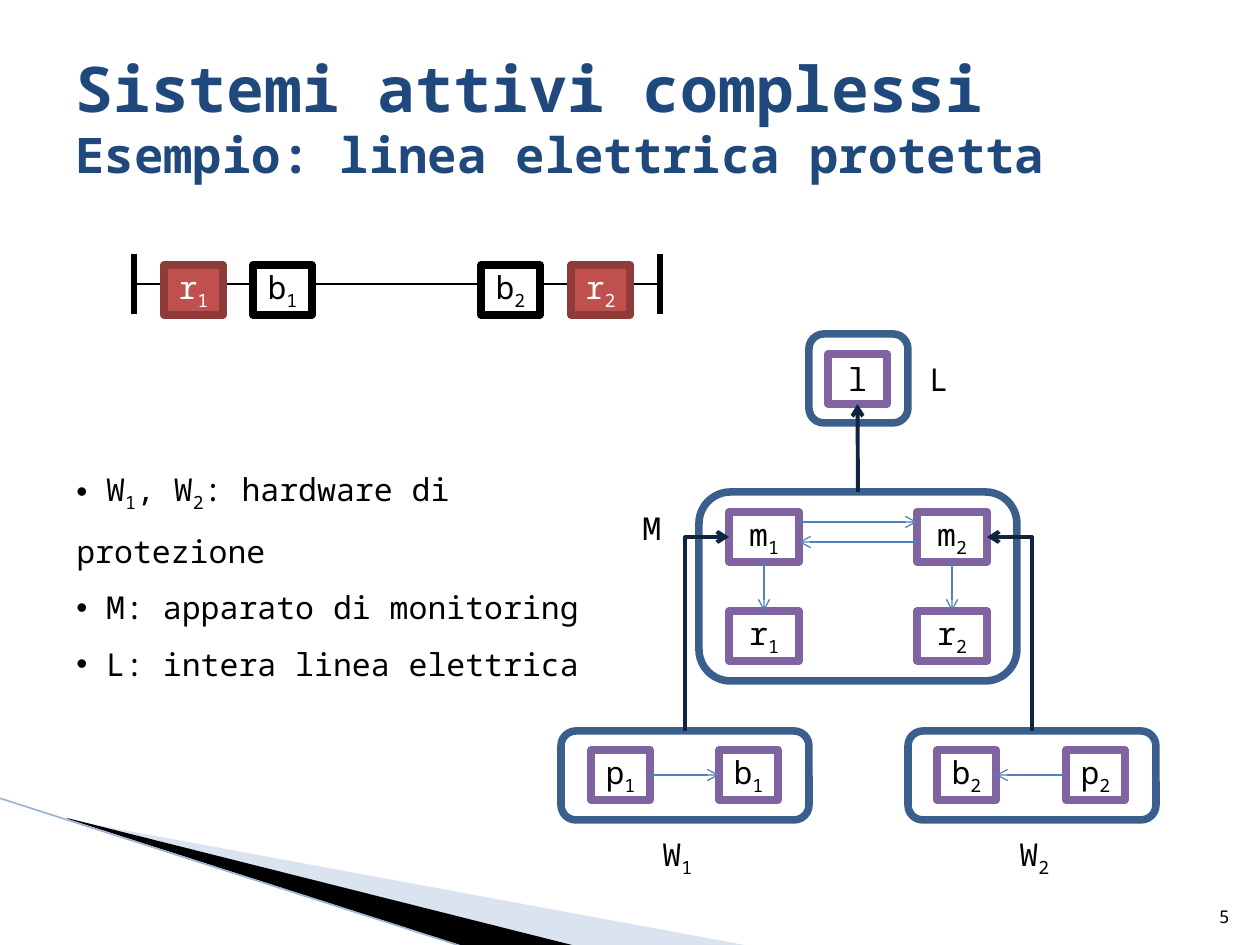
import pptx
import pptx.util
import pptx.dml.color
import pptx.enum.shapes
import pptx.enum.text
import pptx.oxml
import pptx.oxml.ns
from lxml import etree

RGB = pptx.dml.color.RGBColor
SHAPE = pptx.enum.shapes.MSO_SHAPE
CONNECTOR = pptx.enum.shapes.MSO_CONNECTOR
ALIGN = pptx.enum.text.PP_ALIGN
ANCHOR = pptx.enum.text.MSO_ANCHOR
AUTO = pptx.enum.text.MSO_AUTO_SIZE
Pt = pptx.util.Pt
qn = pptx.oxml.ns.qn

PX = 914400 / 126
FONT = "Noto Sans Mono"
TOP, LEFT, BOTTOM, RIGHT = range(4)

BLACK, WHITE = RGB(0, 0, 0), RGB(255, 255, 255)
NAVY = RGB(0x1F, 0x49, 0x7D)
RED, DARK_RED = RGB(0xC0, 0x50, 0x4D), RGB(0x8E, 0x3B, 0x39)
PURPLE = RGB(0x80, 0x64, 0xA2)
GROUP_BLUE, ARROW_BLUE = RGB(0x3A, 0x5F, 0x8C), RGB(0x4F, 0x81, 0xBD)
INK = RGB(0x0F, 0x24, 0x3E)
PALE, EDGE = RGB(0xA7, 0xB9, 0xDB), RGB(0x9E, 0xB3, 0xD6)

# An underscore puts the next character in subscript.
TITLE = [("Sistemi attivi complessi", 36), ("Esempio: linea elettrica protetta", 28)]
BULLETS = [" W_1, W_2: hardware di protezione",
           " M: apparato di monitoring",
           " L: intera linea elettrica"]
WEDGES = [([(69, 820), (750, 946), (575, 946), (69, 819)], PALE, 40),
          ([(67, 818), (576, 946), (469, 948), (68, 819)], BLACK, 100)]
CIRCUIT_TOP = 265
CIRCUIT = [("r_1", 164, RED, DARK_RED, WHITE), ("b_1", 253, WHITE, BLACK, BLACK),
           ("b_2", 481, WHITE, BLACK, BLACK), ("r_2", 571, RED, DARK_RED, WHITE)]
WIRES = [((134, 284), (660, 284), 0.75),
         ((134, 254), (134, 314), 3), ((660, 254), (660, 314), 3)]
BOX_HEIGHT, NARROW, WIDE = 50, 59, 70
COMPONENTS = {  # name: left, top, width
    "l": (828, 354, NARROW),
    "m_1": (729, 512, WIDE), "m_2": (917, 512, WIDE),
    "r_1": (729, 611, WIDE), "r_2": (917, 611, WIDE),
    "p_1": (591, 750, NARROW), "b_1": (719, 750, NARROW),
    "b_2": (937, 750, NARROW), "p_2": (1066, 750, NARROW),
}
JOINS = [("p_1", RIGHT, "b_1", LEFT), ("p_2", LEFT, "b_2", RIGHT),
         ("m_1", BOTTOM, "r_1", TOP), ("m_2", BOTTOM, "r_2", TOP)]
EXCHANGES = [((799, 522), (917, 522)), ((917, 542), (799, 542))]
GROUPS = {"M": (699, 492, 318, 189), "L": (809, 334, 99, 89),
          "W_1": (561, 731, 248, 89), "W_2": (908, 731, 248, 89)}
LABELS = [("W_1", 650, 829, 79), ("W_2", 1007, 829, 79),
          ("M", 630, 503, 59), ("L", 917, 354, 79)]


def px(*values):
    return [round(value * PX) for value in values]


def add_span(para, text, size, color, bold=False):
    span = para.add_run()
    span.text = text
    span.font.name, span.font.size, span.font.bold = FONT, Pt(size), bold
    span.font.color.rgb = color
    return span


def write(para, text, color=BLACK, size=18):
    """Add text, with each character after an underscore as subscript."""
    first, *rest = text.split("_")
    add_span(para, first, size, color)
    for piece in rest:
        subscript = add_span(para, piece[0], size, color)
        subscript.font._element.set("baseline", "-25000")
        if piece[1:]:
            add_span(para, piece[1:], size, color)


def add_box(page, text, place, fill, edge, color):
    box = page.shapes.add_shape(SHAPE.RECTANGLE, *px(*place))
    box.shadow.inherit = False
    box.fill.solid()
    box.fill.fore_color.rgb = fill
    box.line.color.rgb, box.line.width = edge, Pt(4.33)
    frame = box.text_frame
    frame.margin_left = frame.margin_right = frame.margin_top = frame.margin_bottom = 0
    frame.word_wrap, frame.vertical_anchor = False, ANCHOR.MIDDLE
    frame.paragraphs[0].alignment = ALIGN.CENTER
    write(frame.paragraphs[0], text, color)
    return box


def add_line(page, start, end, color, width, arrow=False, kind=CONNECTOR.STRAIGHT):
    line = page.shapes.add_connector(kind, *px(*start, *end))
    line.line.color.rgb, line.line.width = color, Pt(width)
    if arrow:
        etree.SubElement(line.line._get_or_add_ln(), qn("a:tailEnd"), type="arrow")
    etree.SubElement(line._element.spPr, qn("a:effectLst"))
    return line


def join(page, source, source_side, target, target_side, color, width):
    line = add_line(page, (0, 0), (1, 1), color, width, arrow=True)
    line.begin_connect(source, source_side)
    line.end_connect(target, target_side)


def add_elbow(page, start, end):
    """Draw an arrow that goes up from start, then sideways to end."""
    across, up = abs(end[0] - start[0]), start[1] - end[1]
    middle = (start[0] + end[0]) / 2, (start[1] + end[1]) / 2
    line = add_line(page, start, end, INK, 2.25, True, CONNECTOR.ELBOW)
    # The preset is turned a quarter, so its width runs vertically.
    line.left, line.top, line.width, line.height = px(
        middle[0] - up / 2, middle[1] - across / 2, up, across)
    rightward = end[0] > start[0]
    frame = line._element.spPr.find(qn("a:xfrm"))
    frame.set("rot", "5400000" if rightward else "16200000")
    frame.set("flipH", "1" if rightward else "0")
    frame.set("flipV", "1")
    line._element.spPr.find(qn("a:prstGeom")).set("prst", "bentConnector2")


def add_text(page, place, auto_size=AUTO.SHAPE_TO_FIT_TEXT):
    frame = page.shapes.add_textbox(*px(*place)).text_frame
    frame.word_wrap, frame.auto_size = True, auto_size
    return frame


def add_backdrop(page):
    for points, color, opacity in WEDGES:
        builder = page.shapes.build_freeform(*points[0], scale=PX)
        builder.add_line_segments(points[1:], close=True)
        wedge = builder.convert_to_shape()
        wedge.shadow.inherit = False
        wedge.fill.solid()
        wedge.fill.fore_color.rgb = color
        wedge.line.fill.background()
        if opacity < 100:
            tint = wedge._element.spPr.find(".//" + qn("a:srgbClr"))
            etree.SubElement(tint, qn("a:alpha"), val=str(opacity * 1000))
    add_line(page, (-1, 798), (467, 948), EDGE, 0.95)


def add_title(page):
    title = page.shapes.title
    title.left, title.top, title.width, title.height = px(63, 38, 1134, 157)
    frame = title.text_frame
    frame.auto_size, frame.vertical_anchor = AUTO.NONE, ANCHOR.MIDDLE
    para = frame.paragraphs[0]
    para.alignment = ALIGN.LEFT
    for index, (text, size) in enumerate(TITLE):
        if index:
            para.add_line_break()
        add_span(para, text, size, NAVY, bold=True)


def add_bullets(page):
    frame = add_text(page, (64, 442, 566, 184))
    for index, text in enumerate(BULLETS):
        para = frame.add_paragraph() if index else frame.paragraphs[0]
        para.line_spacing = 1.5
        properties = para._p.get_or_add_pPr()
        etree.SubElement(properties, qn("a:buFont"), typeface="Arial")
        etree.SubElement(properties, qn("a:buChar"), char="•")
        write(para, text)


def add_system(page):
    boxes = {name: add_box(page, name, (*place, BOX_HEIGHT), WHITE, PURPLE, BLACK)
             for name, place in COMPONENTS.items()}
    for source, source_side, target, target_side in JOINS:
        join(page, boxes[source], source_side, boxes[target], target_side, ARROW_BLUE, 0.75)
    for start, end in EXCHANGES:
        add_line(page, start, end, ARROW_BLUE, 0.75, arrow=True)
    groups = {}
    for name, place in GROUPS.items():
        group = groups[name] = page.shapes.add_shape(SHAPE.ROUNDED_RECTANGLE, *px(*place))
        group.shadow.inherit = False
        group.fill.background()
        group.line.color.rgb, group.line.width = GROUP_BLUE, Pt(4.33)
    for source, target, side in [("W_1", "m_1", 0), ("W_2", "m_2", WIDE)]:
        left, top, width, _ = GROUPS[source]
        box_left, box_top, _ = COMPONENTS[target]
        add_elbow(page, (left + width / 2, top), (box_left + side, box_top + BOX_HEIGHT / 2))
    join(page, groups["M"], TOP, boxes["l"], BOTTOM, INK, 2.25)
    for text, left, top, width in LABELS:
        write(add_text(page, (left, top, width, 50)).paragraphs[0], text)


def main():
    deck = pptx.Presentation()
    deck.slide_width, deck.slide_height = px(1260, 945)
    page = deck.slides.add_slide(deck.slide_layouts[5])
    add_backdrop(page)
    add_title(page)
    for start, end, width in WIRES:
        add_line(page, start, end, BLACK, width)
    for name, left, fill, edge, color in CIRCUIT:
        add_box(page, name, (left, CIRCUIT_TOP, NARROW, BOX_HEIGHT), fill, edge, color)
    add_system(page)
    add_bullets(page)
    number = add_text(page, (1192, 883, 50, 50), AUTO.NONE)
    number.vertical_anchor = ANCHOR.BOTTOM
    number.paragraphs[0].alignment = ALIGN.RIGHT
    write(number.paragraphs[0], "5", size=10)
    deck.save("out.pptx")


if __name__ == "__main__":
    main()
